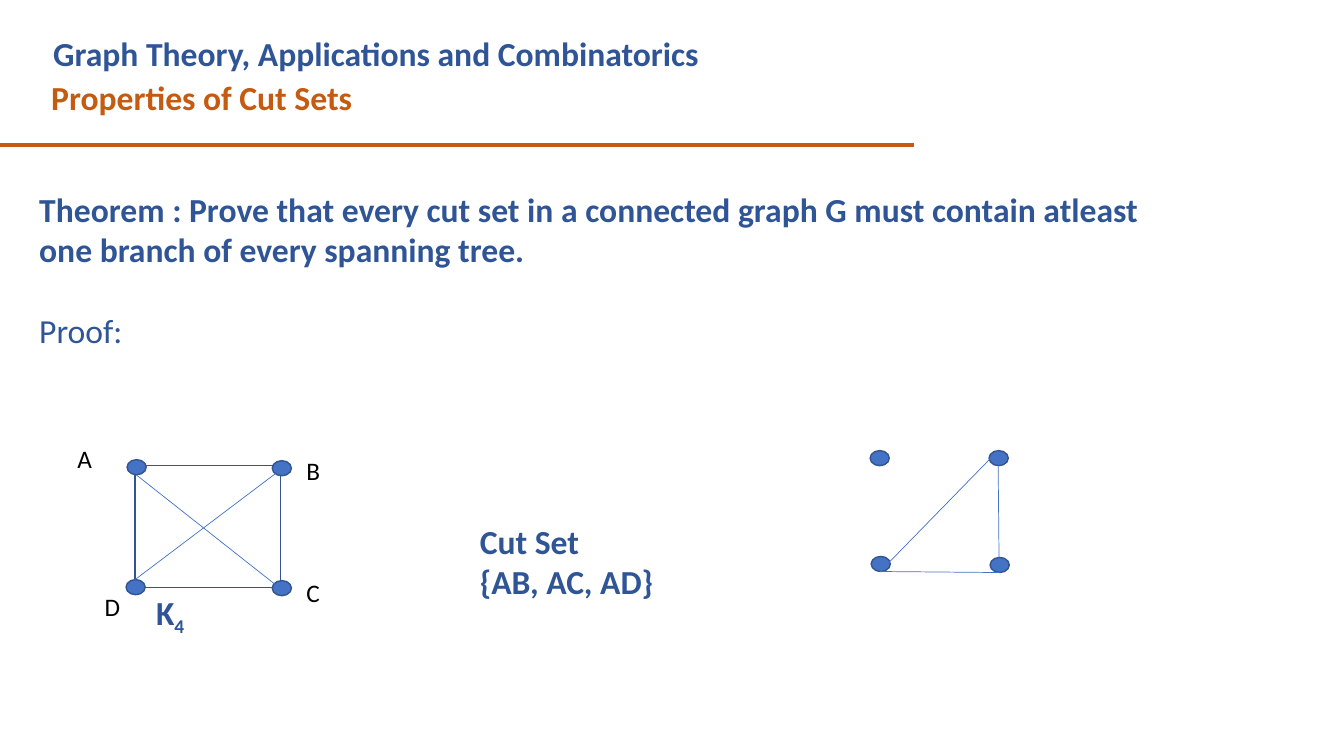
from dataclasses import dataclass

from lxml import etree
from pptx import Presentation
from pptx.dml.color import RGBColor
from pptx.enum.shapes import MSO_CONNECTOR, MSO_SHAPE
from pptx.enum.text import MSO_AUTO_SIZE
from pptx.oxml.ns import qn
from pptx.util import Inches, Pt

STRAIGHT = MSO_CONNECTOR.STRAIGHT
OVAL = MSO_SHAPE.OVAL
RECTANGLE = MSO_SHAPE.RECTANGLE
FIT_SHAPE = MSO_AUTO_SIZE.SHAPE_TO_FIT_TEXT

COLORS = {
    "heading": "2F5597",
    "accent": "C55A11",
    "vertex": "4472C4",
    "outline": "325491",
    "label": "000000",
}
FONT = "Calibri"
VERTEX_WIDTH, VERTEX_HEIGHT = 0.19, 0.15
BLANK_LINE = 29.3


@dataclass(frozen=True)
class Line:
    text: str
    bold: bool = True
    space_before: float = 0
    subscript: str = ""


@dataclass(frozen=True)
class Caption:
    left: float
    top: float
    width: float
    height: float
    lines: tuple[Line, ...]
    color: str = "heading"
    size: int = 24


@dataclass(frozen=True)
class Edge:
    start: tuple[float, float]
    end: tuple[float, float]
    color: str = "vertex"
    weight: float = 0.5


@dataclass(frozen=True)
class Graph:
    vertices: tuple[tuple[float, float], ...]
    edges: tuple[Edge, ...]
    captions: tuple[Caption, ...] = ()
    frame: tuple[float, float, float, float] | None = None


def rgb(name: str) -> RGBColor:
    return RGBColor.from_string(COLORS[name])


def vertex_label(text: str, left: float, top: float, width: float) -> Caption:
    return Caption(left, top, width, 0.4, (Line(text, bold=False),), "label", 18)


def draw_caption(shapes, caption: Caption) -> None:
    box = shapes.add_textbox(Inches(caption.left), Inches(caption.top),
                             Inches(caption.width), Inches(caption.height))
    frame = box.text_frame
    frame.word_wrap = True
    frame.auto_size = FIT_SHAPE
    for index, line in enumerate(caption.lines):
        paragraph = frame.add_paragraph() if index else frame.paragraphs[0]
        paragraph.add_run().text = line.text
        if line.subscript:
            lowered = paragraph.add_run()
            lowered.text = line.subscript
            lowered.font._element.set("baseline", "-25000")
        if line.space_before:
            paragraph.space_before = Pt(line.space_before)
        paragraph.font.name = FONT
        paragraph.font.size = Pt(caption.size)
        paragraph.font.bold = line.bold
        paragraph.font.color.rgb = rgb(caption.color)


def draw_edge(shapes, edge: Edge) -> None:
    connector = shapes.add_connector(STRAIGHT, *map(Inches, edge.start + edge.end))
    connector.line.color.rgb = rgb(edge.color)
    connector.line.width = Pt(edge.weight)
    etree.SubElement(connector._element.spPr, qn("a:effectLst"))


def draw_outlined(shapes, kind, left: float, top: float, width: float,
                  height: float, fill: str | None = None) -> None:
    shape = shapes.add_shape(kind, Inches(left), Inches(top),
                             Inches(width), Inches(height))
    shape.shadow.inherit = False
    if fill:
        shape.fill.solid()
        shape.fill.fore_color.rgb = rgb(fill)
    else:
        shape.fill.background()
    shape.line.color.rgb = rgb("outline")
    shape.line.width = Pt(1)


def draw_graph(slide, graph: Graph) -> None:
    shapes = slide.shapes.add_group_shape().shapes
    if graph.frame:
        draw_outlined(shapes, RECTANGLE, *graph.frame)
    for left, top in graph.vertices:
        draw_outlined(shapes, OVAL, left, top, VERTEX_WIDTH, VERTEX_HEIGHT, "vertex")
    for edge in graph.edges:
        draw_edge(shapes, edge)
    for caption in graph.captions:
        draw_caption(shapes, caption)


CAPTIONS = (
    Caption(0.41, 0.71, 8.75, 0.5, (Line("Properties of Cut Sets"),), "accent"),
    Caption(0.43, 0.28, 8.2, 0.5,
            (Line("Graph Theory, Applications and Combinatorics"),)),
    Caption(0.29, 1.82, 11.11, 1.72, (
        Line("Theorem : Prove that every cut set in a connected graph G must "
             "contain atleast one branch of every spanning tree."),
        Line("Proof:", bold=False, space_before=BLANK_LINE),
    )),
    vertex_label("A", 0.67, 4.35, 0.47),
    vertex_label("D", 0.94, 5.82, 0.3),
    Caption(4.66, 5.12, 2.19, 0.91, (Line("Cut Set"), Line("{AB, AC, AD}"))),
)
HEADER_RULE = Edge((-0.01, 1.44), (9.07, 1.44), "accent", 3)

COMPLETE_GRAPH = Graph(
    vertices=((2.7, 4.57), (2.7, 5.76), (1.26, 4.56), (1.25, 5.75)),
    edges=(Edge((1.34, 5.75), (2.73, 4.7)), Edge((1.35, 4.71), (2.77, 5.83))),
    captions=(
        Caption(1.45, 5.82, 1.33, 0.5, (Line("K", subscript="4"),)),
        vertex_label("B", 2.94, 4.47, 0.28),
        vertex_label("C", 2.94, 5.68, 0.38),
    ),
    frame=(1.34, 4.62, 1.44, 1.21),
)

TOP_RIGHT, BOTTOM_LEFT, BOTTOM_RIGHT = (9.9, 4.47), (8.73, 5.67), (9.91, 5.68)
SEPARATED_GRAPH = Graph(
    vertices=((8.63, 4.47), (8.64, 5.52), (9.82, 5.53), (9.81, 4.47)),
    edges=(
        Edge((9.9, 4.63), BOTTOM_RIGHT),
        Edge(TOP_RIGHT, BOTTOM_LEFT),
        Edge(BOTTOM_LEFT, BOTTOM_RIGHT),
    ),
)


def main() -> None:
    presentation = Presentation()
    presentation.slide_width = Inches(13.33)
    presentation.slide_height = Inches(7.5)
    slide = presentation.slides.add_slide(presentation.slide_layouts[6])
    draw_edge(slide.shapes, HEADER_RULE)
    for caption in CAPTIONS:
        draw_caption(slide.shapes, caption)
    for graph in (COMPLETE_GRAPH, SEPARATED_GRAPH):
        draw_graph(slide, graph)
    presentation.save("out.pptx")


if __name__ == "__main__":
    main()
